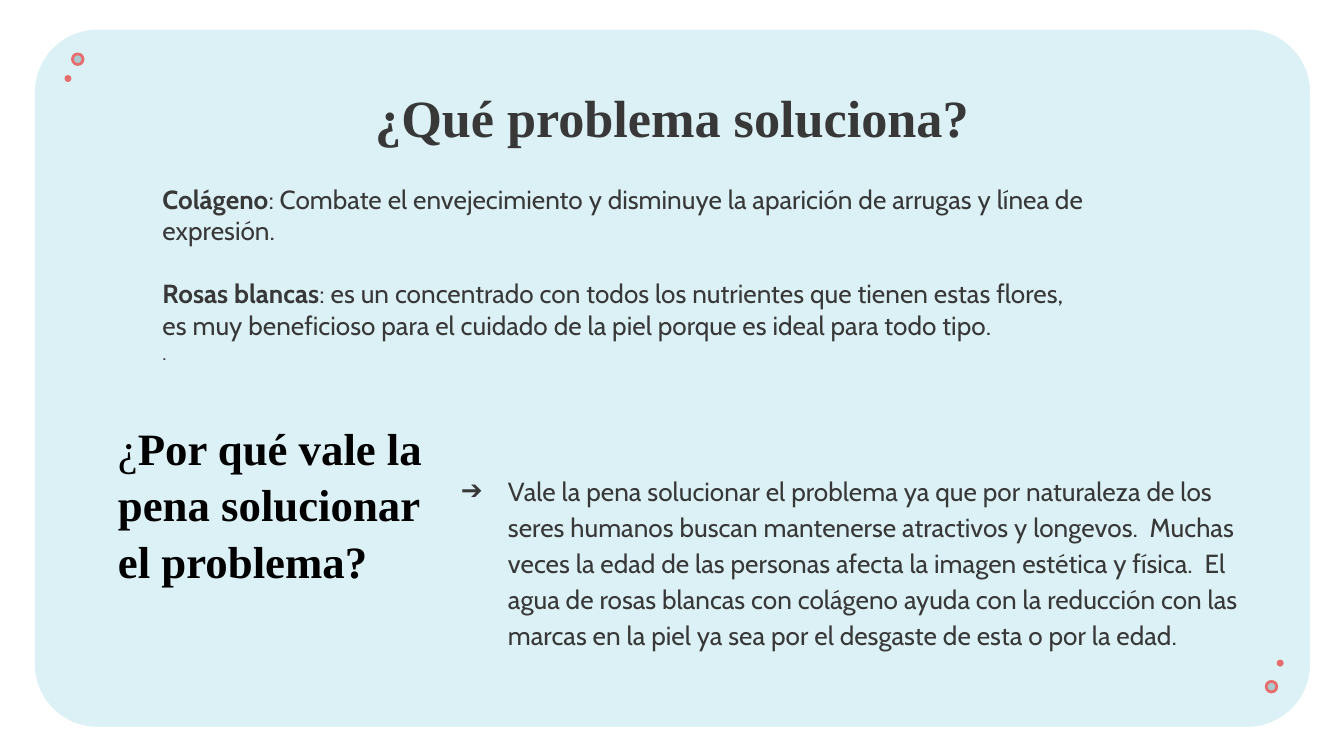
from lxml import etree
from pptx import Presentation
from pptx.dml.color import RGBColor
from pptx.enum.shapes import MSO_SHAPE
from pptx.enum.text import MSO_ANCHOR, MSO_AUTO_SIZE, PP_ALIGN
from pptx.oxml.ns import qn
from pptx.util import Cm, Pt

ROUNDED, OVAL = MSO_SHAPE.ROUNDED_RECTANGLE, MSO_SHAPE.OVAL
TOP, MIDDLE, BOTTOM = MSO_ANCHOR.TOP, MSO_ANCHOR.MIDDLE, MSO_ANCHOR.BOTTOM
LEFT, CENTER = PP_ALIGN.LEFT, PP_ALIGN.CENTER
NO_AUTOFIT = MSO_AUTO_SIZE.NONE

PALE_BLUE = RGBColor(0xDC, 0xF1, 0xF5)
GRAY_TEAL = RGBColor(0xAB, 0xCA, 0xCF)
CORAL = RGBColor(0xE6, 0x6D, 0x6D)
CHARCOAL = RGBColor(0x38, 0x38, 0x38)
BLACK = RGBColor(0, 0, 0)
WHITE = RGBColor(0xFF, 0xFF, 0xFF)
SERIF, SANS = "Times New Roman", "Cabin"

TITLE = "¿Qué problema soluciona?"
BENEFITS = [
    ("Colágeno", ": Combate el envejecimiento y disminuye la aparición de arrugas y línea de expresión."),
    ("Rosas blancas", ": es un concentrado con todos los nutrientes que tienen estas flores, es muy beneficioso para el cuidado de la piel porque es ideal para todo tipo."),
]
QUESTION = "Por qué vale la pena solucionar el problema?"
ANSWER = (
    "Vale la pena solucionar el problema ya que por naturaleza de los seres humanos buscan "
    "mantenerse atractivos y longevos.  Muchas veces la edad de las personas afecta la imagen "
    "estética y física.  El agua de rosas blancas con colágeno ayuda con la reducción con las "
    "marcas en la piel ya sea por el desgaste de esta o por la edad."
)


def place(shape, box):
    """Move a shape to a box of left, top, width and height in centimetres."""
    shape.left, shape.top, shape.width, shape.height = (Cm(length) for length in box)


def prepare_frame(shape, box, anchor):
    """Place a text shape and give its frame wrapping, margins and anchor."""
    place(shape, box)
    frame = shape.text_frame
    frame.word_wrap = True
    frame.auto_size = NO_AUTOFIT
    frame.vertical_anchor = anchor
    frame.margin_left = frame.margin_right = Cm(0.25)
    frame.margin_top = frame.margin_bottom = Cm(0.25)
    return frame


def add_span(para, text, font, size, color, bold=False):
    """Append a formatted run to a paragraph."""
    span = para.add_run()
    span.text = text
    span.font.name, span.font.size, span.font.bold = font, Pt(size), bold
    span.font.color.rgb = color


def format_para(para, align=LEFT, spacing=1.0, before=0):
    """Set the alignment and spacing of a paragraph."""
    para.alignment, para.line_spacing = align, spacing
    para.space_before, para.space_after = Pt(before), Pt(0)


def set_bullet(para, symbol=None, indent=0, hanging=0):
    """Give a paragraph a charcoal bullet, or none when there is no symbol."""
    props = para._p.get_or_add_pPr()
    props.set("marL", str(Cm(indent)))
    props.set("indent", str(-Cm(hanging)))
    if symbol is None:
        etree.SubElement(props, qn("a:buNone"))
        return
    color = etree.SubElement(props, qn("a:buClr"))
    etree.SubElement(color, qn("a:srgbClr"), val=str(CHARCOAL))
    etree.SubElement(props, qn("a:buFont"), typeface=SANS)
    etree.SubElement(props, qn("a:buChar"), char=symbol)


def add_card(page, box):
    """Draw the rounded card behind everything else."""
    card = page.shapes.add_shape(ROUNDED, *(Cm(length) for length in box))
    card.adjustments[0] = 0.09
    card.shadow.inherit = False
    card.fill.solid()
    card.fill.fore_color.rgb = PALE_BLUE
    card.line.fill.background()
    page.shapes._spTree.insert(2, card._element)


def add_dots(page, ring_at, dot_at):
    """Draw a grouped corner ornament: an outlined ring and a small dot."""
    group = page.shapes.add_group_shape()
    for (left, top), size, color in ((ring_at, 0.2, GRAY_TEAL), (dot_at, 0.13, CORAL)):
        circle = group.shapes.add_shape(OVAL, Cm(left), Cm(top), Cm(size), Cm(size))
        circle.shadow.inherit = False
        circle.fill.solid()
        circle.fill.fore_color.rgb = color
        if color == GRAY_TEAL:
            circle.line.color.rgb = CORAL
            circle.line.width = Pt(1.5)
        else:
            circle.line.fill.background()


def fill_title(title, box):
    """Write the centred slide title."""
    para = prepare_frame(title, box, TOP).paragraphs[0]
    format_para(para, CENTER, 1.1)
    add_span(para, TITLE, SERIF, 28, CHARCOAL, True)


def fill_benefits(body, box):
    """Write one paragraph for each ingredient, and the closing period."""
    frame = prepare_frame(body, box, MIDDLE)
    for index, (name, benefit) in enumerate(BENEFITS):
        para = frame.add_paragraph() if index else frame.paragraphs[0]
        format_para(para, before=17 if index else 0)
        set_bullet(para)
        add_span(para, name, SANS, 14, CHARCOAL, True)
        add_span(para, benefit, SANS, 14, CHARCOAL)
    para = frame.add_paragraph()
    format_para(para)
    set_bullet(para)
    add_span(para, ".", SANS, 11, CHARCOAL)


def add_question(page, box):
    """Write the question that heads the lower half."""
    heading = page.shapes.add_textbox(*(Cm(length) for length in box))
    para = prepare_frame(heading, box, BOTTOM).paragraphs[0]
    format_para(para, spacing=1.05)
    add_span(para, "¿", SERIF, 24, BLACK)
    add_span(para, QUESTION, SERIF, 24, BLACK, True)


def fill_answer(body, box):
    """Write the answer as an arrow-bulleted paragraph."""
    para = prepare_frame(body, box, TOP).paragraphs[0]
    format_para(para, spacing=1.15)
    set_bullet(para, "➔", 1.27, 0.89)
    add_span(para, ANSWER, SANS, 14, CHARCOAL)


def main():
    """Build the slide and save the deck."""
    deck = Presentation()
    deck.slide_width, deck.slide_height = Cm(25.4), Cm(14.29)
    page = deck.slides.add_slide(deck.slide_layouts[3])
    page.background.fill.solid()
    page.background.fill.fore_color.rgb = WHITE
    title, benefits, answer = page.placeholders
    add_card(page, (0.66, 0.56, 24.1, 13.18))
    fill_title(title, (1.98, 1.24, 21.44, 1.6))
    fill_benefits(benefits, (2.82, 3.02, 18.06, 4.32))
    add_question(page, (1.98, 7.77, 6.45, 3.58))
    fill_answer(answer, (8.08, 8.64, 15.62, 5.44))
    add_dots(page, (1.37, 1.02), (1.22, 1.42))
    add_dots(page, (23.93, 12.88), (24.13, 12.47))
    deck.save("out.pptx")


if __name__ == "__main__":
    main()
